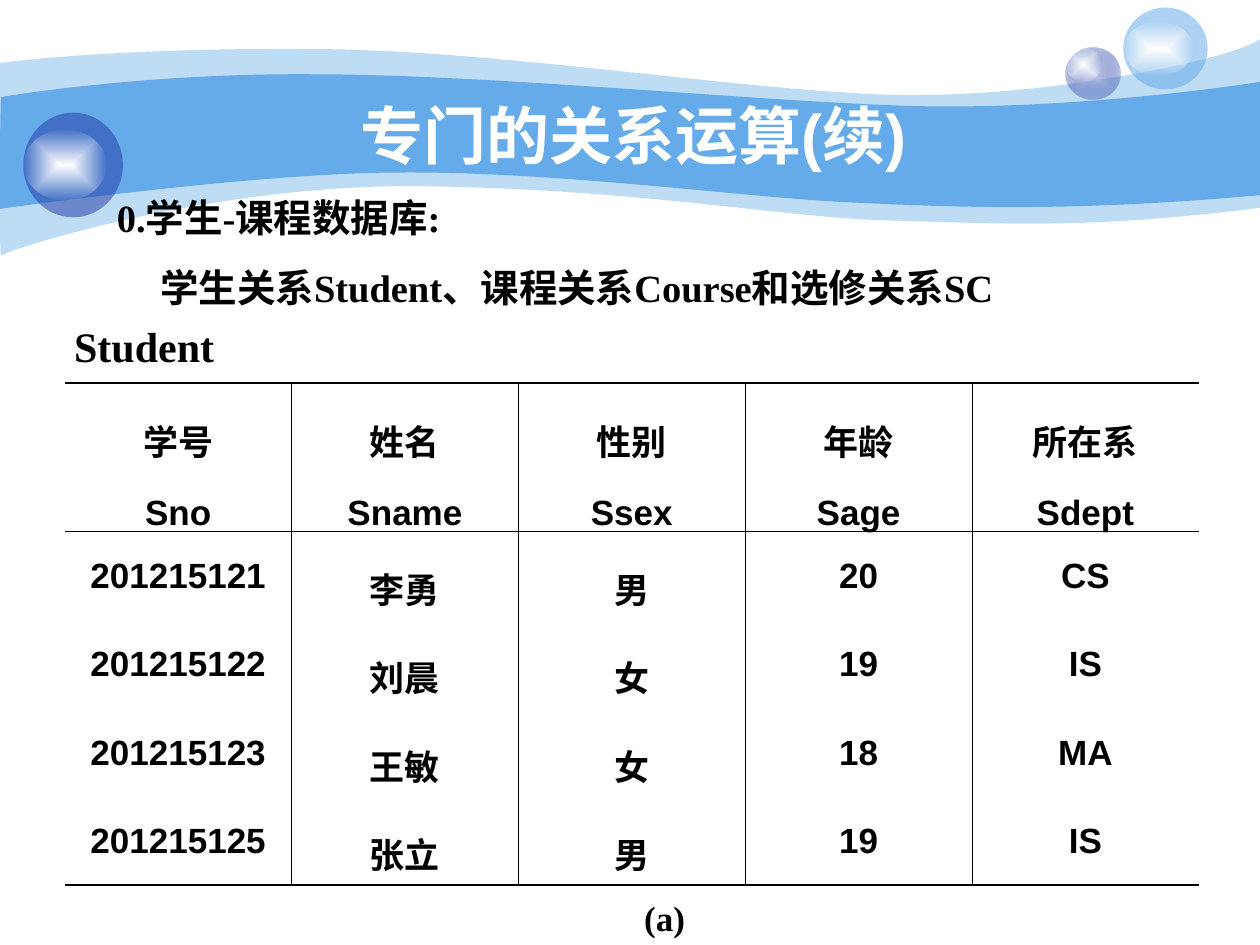
from lxml import etree
from pptx import Presentation, util as u
from pptx.dml.color import RGBColor
from pptx.enum import shapes, text
from pptx.oxml.ns import qn

# The slide is laid out on a grid of 100 columns by 75 rows.
COLUMNS, ROWS = 100, 75
CELL = u.Inches(0.1)
SKY, NAVY, MIST, WHITE, BLACK = "65AAE9", "233DA9", "C7CEE9", "FFFFFF", "000000"
SERIF, SANS = "Times New Roman", "Arial"
THICK, THIN = 1.08, 0.45

# Each edge is a start point followed by Bezier triples, in columns and rows.
PALE_WAVE = (
    [(0, 5), (2.4, 4.7), (10.7, 3.8), (24.7, 3.9), (38.6, 3.9), (57.5, 7),
     (69.9, 7.5), (82.2, 8), (98, 4.7), (100, 3.1)],
    [(100, 16.5), (85.8, 18.3), (78.7, 17.7), (70.5, 17.5), (62.2, 17.3),
     (51.5, 15.1), (34.3, 14.8), (17.2, 14.4), (0.4, 19.9), (0.1, 20.3),
     (-0.1, 20.8), (0, 7.5), (0, 5)],
)
DEEP_WAVE = (
    [(0.1, 7.7), (0.2, 7.7), (11, 5.8), (24.8, 5.9), (38.6, 5.9), (59.5, 8),
     (71.8, 8.4), (84.1, 8.8), (97.6, 6.9), (100, 6.5)],
    [(100, 15.5), (85.3, 16.8), (76.5, 16.5), (68.2, 16.1), (59.9, 15.8),
     (44.7, 13.6), (31.7, 13.7), (20.3, 13.7), (-0.2, 16.6), (-0.1, 16.6),
     (0, 16.6), (0, 7.7), (0.1, 7.7)],
)

HEADERS = [("学号", "Sno"), ("姓名", "Sname"), ("性别", "Ssex"),
           ("年龄", "Sage"), ("所在系", "Sdept")]
STUDENTS = [
    ("201215121", "李勇", "男", "20", "CS"),
    ("201215122", "刘晨", "女", "19", "IS"),
    ("201215123", "王敏", "女", "18", "MA"),
    ("201215125", "张立", "男", "19", "IS"),
]


def cells(*counts):
    """Turn counts of grid cells into lengths."""
    return [u.Emu(round(count * CELL)) for count in counts]


def color(hex_code):
    return RGBColor.from_string(hex_code)


def set_alpha(fill_element, percents):
    """Give each colour inside a fill its opacity."""
    for tint, percent in zip(fill_element.iter(qn("a:srgbClr")), percents):
        if percent < 100:
            etree.SubElement(tint, qn("a:alpha"), val=str(percent * 1000))


def finish(shape):
    shape.shadow.inherit = False
    shape.line.fill.background()


def fill_solid(shape, hex_code, opacity=100):
    shape.fill.solid()
    shape.fill.fore_color.rgb = color(hex_code)
    set_alpha(shape._element.spPr.find(qn("a:solidFill")), [opacity])
    finish(shape)


def fill_glow(shape, inner, outer, opacity):
    """Fill from the centre outwards, fading to the given opacity."""
    shape.fill.gradient()
    for stop, hex_code in zip(shape.fill.gradient_stops, (inner, outer)):
        stop.color.rgb = color(hex_code)
    gradient = shape._element.spPr.find(qn("a:gradFill"))
    set_alpha(gradient, [100, opacity])
    gradient.remove(gradient.find(qn("a:lin")))
    path = etree.SubElement(gradient, qn("a:path"), path="rect")
    etree.SubElement(path, qn("a:fillToRect"),
                     {side: "50000" for side in "ltrb"})
    finish(shape)


def bend(segments):
    """Merge each three straight segments into one Bezier curve."""
    for first in range(0, len(segments), 3):
        curve, *controls = segments[first:first + 3]
        curve.tag = qn("a:cubicBezTo")
        for control in controls:
            curve.append(control[0])
            control.getparent().remove(control)


def add_wave(page, edges, opacity):
    upper, lower = edges
    start, *others = [cells(*point) for point in upper + lower]
    builder = page.shapes.build_freeform(*start)
    builder.add_line_segments(others, close=True)
    wave = builder.convert_to_shape()
    segments = list(wave._element.iter(qn("a:lnTo")))
    joint = len(upper) - 1
    bend(segments[:joint])
    bend(segments[joint + 1:joint + len(lower)])
    fill_solid(wave, SKY, opacity)


def add_bubble(page, ball_area, shine_area):
    """Group a ball with its highlight and return the ball for filling."""
    group = page.shapes.add_group_shape()
    ball, shine = [group.shapes.add_shape(shapes.MSO_SHAPE.OVAL, *cells(*area))
                   for area in (ball_area, shine_area)]
    fill_glow(shine, WHITE, WHITE, 0)
    return ball


def write(frame, lines, size, font=SERIF, ink=BLACK, align=text.PP_ALIGN.CENTER,
          spacing=None, before=0):
    for index, line in enumerate(lines):
        para = frame.paragraphs[0] if index == 0 else frame.add_paragraph()
        para.text = line
        para.alignment = align
        para.line_spacing = spacing
        if index:
            para.space_before = u.Pt(before)
        para.font.name, para.font.size, para.font.bold = font, u.Pt(size), True
        para.font.color.rgb = color(ink)


def add_text(page, area, lines, size, anchor=text.MSO_ANCHOR.TOP, wrap=True, **style):
    frame = page.shapes.add_textbox(*cells(*area)).text_frame
    frame.word_wrap = wrap
    frame.vertical_anchor = anchor
    write(frame, lines, size, **style)
    return frame


def set_borders(cell, widths):
    """Draw the left, right, top and bottom borders; zero means none."""
    properties = cell._tc.get_or_add_tcPr()
    for side, width in zip("LRTB", widths):
        line = etree.SubElement(properties, qn(f"a:ln{side}"), w=str(u.Pt(width)))
        if width:
            fill = etree.SubElement(line, qn("a:solidFill"))
            etree.SubElement(fill, qn("a:srgbClr"), val=BLACK)
        else:
            etree.SubElement(line, qn("a:noFill"))


def add_student_table(page):
    rows = [HEADERS] + [[(value,) for value in student] for student in STUDENTS]
    count = len(HEADERS)
    frame = page.shapes.add_table(len(rows), count, *cells(5.14, 30.4, 90, 39.8))
    table = frame.table
    table.first_row = table.horz_banding = False
    across = [0] + [THIN] * (count - 1) + [0]
    down = [THICK, THIN] + [0] * (len(rows) - 2) + [THICK]
    for column in table.columns:
        column.width = cells(90 / count)[0]
    for r, row in enumerate(rows):
        table.rows[r].height = cells(7.02 if r else 11.74)[0]
        for c, lines in enumerate(row):
            cell = table.cell(r, c)
            set_borders(cell, across[c:c + 2] + down[r:r + 2])
            cell.fill.background()
            write(cell.text_frame, lines, 20, font=SANS, spacing=1.5, before=5)


def main():
    deck = Presentation()
    deck.slide_width, deck.slide_height = cells(COLUMNS, ROWS)
    page = deck.slides.add_slide(deck.slide_layouts[6])

    add_wave(page, PALE_WAVE, 41)
    add_wave(page, DEEP_WAVE, 100)
    fill_glow(add_bubble(page, (84.6, 3.75, 4.3, 4.1), (84.6, 3.75, 2.8, 2.7)), MIST, NAVY, 31)
    fill_solid(add_bubble(page, (89.15, 0.6, 6.7, 6.5), (89.15, 1.7, 5.6, 4.3)), SKY, 53)
    fill_solid(add_bubble(page, (1.85, 8.95, 7.9, 8.3), (1.85, 10.3, 6.6, 5.6)), NAVY, 53)

    middle = text.MSO_ANCHOR.MIDDLE
    left = text.PP_ALIGN.LEFT
    add_text(page, (9.85, 7.55, 80.8, 6.2), ["专门的关系运算(续)"], 36, middle,
             font=SANS, ink=WHITE)
    add_text(page, (31.9, 70.65, 41.7, 4.4), ["(a)"], 20)
    add_text(page, (4.9, 24.1, 13.2, 6.7), ["Student"], 24, middle, wrap=False, align=left)
    intro = add_text(page, (8.3, 13.1, 87.4, 12),
                     ["0.学生-课程数据库:", "学生关系Student、课程关系Course和选修关系SC"],
                     22, align=left, spacing=1.5)
    intro.paragraphs[1]._p.get_or_add_pPr().set("marL", str(cells(3.45)[0]))
    add_student_table(page)

    deck.save("out.pptx")


if __name__ == "__main__":
    main()
